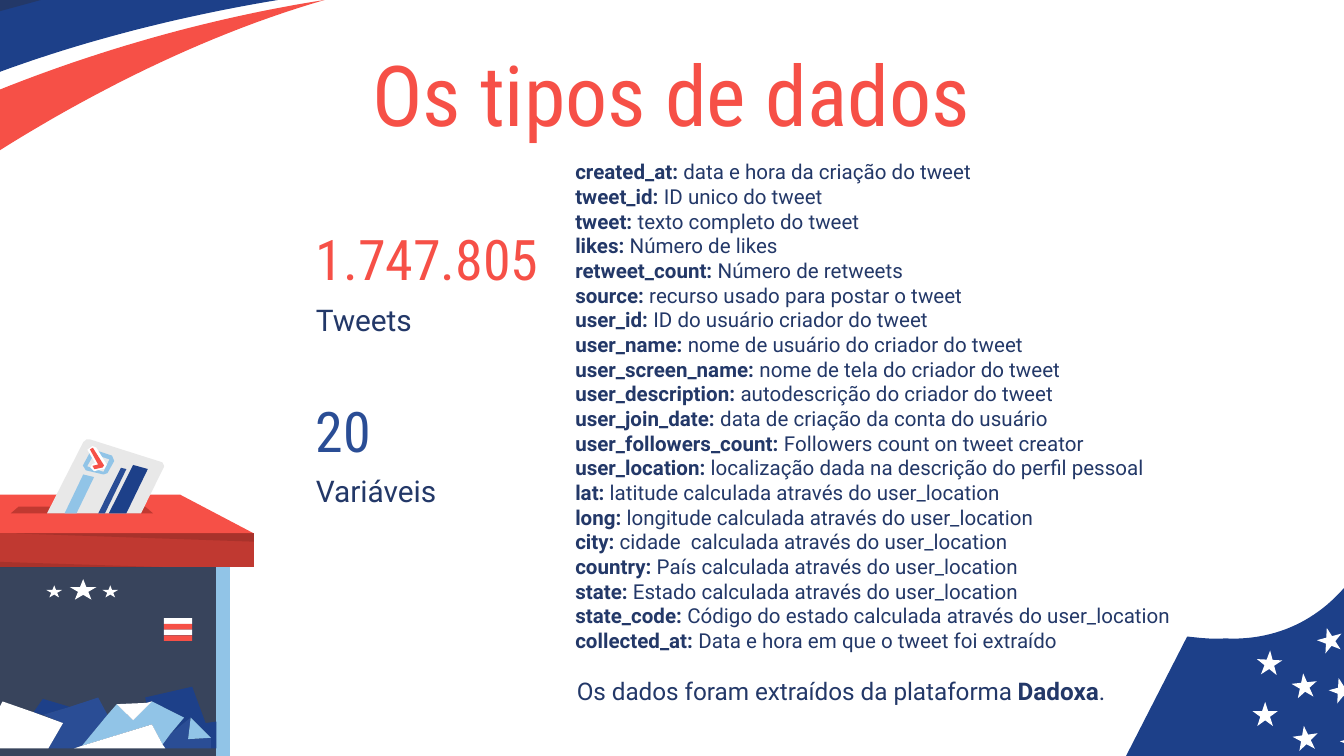
from lxml import etree
from pptx import Presentation
from pptx import util as u
from pptx.dml.color import RGBColor
from pptx.enum import shapes, text
from pptx.oxml.ns import qn

RED, BLUE, MID, NAVY = "F65047", "1D4089", "2A4D95", "233868"
SKY, WHITE, BRICK, SLATE, CARD = "91C4E7", "FFFFFF", "C03931", "38445C", "E8E8E8"
BODY, HEAD = "Roboto", "Roboto Condensed"

FIELDS = [
    ("created_at:", " data e hora da criação do tweet"),
    ("tweet_id: ", "ID unico do tweet"),
    ("tweet: ", "texto completo do tweet"),
    ("likes:", " Número de likes"),
    ("retweet_count: ", "Número de retweets"),
    ("source: ", "recurso usado para postar o tweet"),
    ("user_id: ", "ID do usuário criador do tweet"),
    ("user_name:", " nome de usuário do criador do tweet"),
    ("user_screen_name:", " nome de tela do criador do tweet"),
    ("user_description:", " autodescrição do criador do tweet"),
    ("user_join_date:", " data de criação da conta do usuário"),
    ("user_followers_count:", " Followers count on tweet creator"),
    ("user_location:", " localização dada na descrição do perfil pessoal"),
    ("lat:", " latitude calculada através do user_location"),
    ("long:", " longitude calculada através do user_location"),
    ("city:", " cidade  calculada através do user_location"),
    ("country:", " País calculada através do user_location"),
    ("state:", " Estado calculada através do user_location"),
    ("state_code:", " Código do estado calculada através do user_location"),
    ("collected_at:", " Data e hora em que o tweet foi extraído"),
]

CHEST = [
    (SKY, [(0, 63), (123.1, 63), (123.1, 170), (0, 170)]),
    (SLATE, [(0, 63), (115.9, 63), (115.9, 170), (0, 170)]),
    (RED, [(0, 30), (96.5, 30), (136, 50.8), (126, 56.6), (0, 56.6)]),
    (BRICK, [(0, 50.8), (136, 50.8), (136, 68.8), (0, 68.8)]),
    (BRICK, [(10, 36.4), (77.8, 36.4), (82, 40), (5.8, 40)]),
]
SHADES = [
    [(0, 66), (87, 68.8), (0, 68.8)],
    [(8.6, 50.8), (136, 50.8), (136, 55.2)],
]
VOTE = [
    (CARD, [(44.6, 1.9), (46.4, 0.4), (48.2, 0.4), (87, 12.7), (88, 14.8), (75.6, 40), (25.2, 40)]),
    (SKY, [(49.5, 6.4), (51.8, 6.4), (60, 9.1), (61.2, 12), (57.6, 18.5), (55.4, 19.2),
           (46, 17), (44.4, 14.4), (48.2, 7.4)]),
    (CARD, [(50.4, 8.4), (58.5, 11.2), (55.4, 17.7), (46.8, 14.8)]),
    (WHITE, [(49.5, 4), (51.6, 4.8), (57.2, 14), (56, 16.1), (50.4, 17.5), (48.4, 15.5),
             (49.5, 13.6), (51, 13.2), (46.8, 6)]),
    (RED, [(49.8, 4.9), (55.8, 14.4), (55, 15.5), (50.6, 16.4), (49.6, 14.6), (52.6, 13.9), (48.2, 5.8)]),
    (BLUE, [(71.3, 14.1), (79.2, 16.3), (67.7, 40), (58.3, 40)]),
    (MID, [(64.8, 15.6), (67.7, 16.3), (56.2, 40), (52.6, 40)]),
    (SKY, [(44.6, 19.2), (50.4, 20.6), (41, 40), (34.6, 40)]),
]
PAPERS = [
    (BLUE, [(103, 132.9), (77.8, 138.7), (78.5, 141.6), (81.4, 140.8), (98.6, 149.5), (91.4, 158.1),
            (102.2, 149.5), (113, 160.3), (113, 166), (115.9, 166), (115.9, 151.6), (110.2, 152.4)]),
    (BLUE, [(23, 139.4), (18, 146.6), (23, 148), (37.4, 143.7)]),
    (MID, [(102.2, 149.5), (91.4, 158.1), (87.1, 163.9), (88.6, 166), (113, 166), (113, 160.3), (100.8, 161)]),
    (MID, [(52.6, 138.7), (37.4, 143.7), (23, 148), (33.8, 152.4), (25.9, 166), (39.6, 166),
           (43.9, 164.6), (57.6, 148)]),
    (SKY, [(81.4, 140.8), (71.3, 150.9), (62.6, 142.3), (57.6, 148), (43.9, 164.6), (81.4, 153.1),
           (87.1, 163.9), (91.4, 158.1), (98.6, 149.5)]),
    (WHITE, [(1.4, 140.8), (0, 143.5), (0, 166), (25.9, 166), (33.8, 152.4), (18, 146.6)]),
    (WHITE, [(81.4, 153.1), (43.9, 164.6), (39.6, 166), (88.6, 166), (87.1, 163.9)]),
    (WHITE, [(81.4, 140.8), (78.5, 141.6), (62.6, 142.3), (71.3, 150.9)]),
    (SKY, [(102.2, 149.5), (100.8, 161), (113, 160.3)]),
]


def tint(code):
    return RGBColor.from_string(code)


def paint(shape, code, alpha=None):
    shape.shadow.inherit = False
    shape.fill.solid()
    shape.fill.fore_color.rgb = tint(code)
    shape.line.fill.background()
    if alpha:
        tag = shape._element.spPr.find(qn("a:solidFill"))[0]
        etree.SubElement(tag, qn("a:alpha"), val=str(alpha * 1000))


def bend(a, b, c, d, steps=24):
    ts = [i / steps for i in range(steps + 1)]
    return [tuple((1 - t) ** 3 * p + 3 * t * (1 - t) ** 2 * q + 3 * t * t * (1 - t) * r + t ** 3 * s
                  for p, q, r, s in zip(a, b, c, d)) for t in ts]


def poly(slide, x, y, dots, code, alpha=None):
    spots = [(u.Pt(x + a), u.Pt(y + b)) for a, b in dots]
    form = slide.shapes.build_freeform(*spots[0], scale=1.0)
    form.add_line_segments(spots[1:], close=True)
    paint(form.convert_to_shape(), code, alpha)


def block(slide, kind, x, y, w, h, code, turn=0):
    shape = slide.shapes.add_shape(kind, u.Pt(x), u.Pt(y), u.Pt(w), u.Pt(h))
    shape.rotation = turn
    paint(shape, code)


def write(slide, x, y, w, h, rows, size, code, font=BODY, pitch=None):
    frame = slide.shapes.add_textbox(u.Pt(x), u.Pt(y), u.Pt(w), u.Pt(h)).text_frame
    frame.word_wrap = True
    frame.margin_left = frame.margin_right = frame.margin_top = frame.margin_bottom = 0
    frame.vertical_anchor = text.MSO_ANCHOR.TOP if pitch else text.MSO_ANCHOR.MIDDLE
    for i, row in enumerate(rows):
        para = frame.add_paragraph() if i else frame.paragraphs[0]
        if pitch:
            para.line_spacing = u.Pt(pitch)
        for words, bold in row:
            run = para.add_run()
            run.text = words
            run.font.size, run.font.name, run.font.bold = u.Pt(size), font, bold
            run.font.color.rgb = tint(code)


def ribbon(slide, x, y):
    poly(slide, x, y, [(0, 0)] + bend((149, 0), (95, 9), (45, 22), (0, 38.5)), BLUE)
    poly(slide, x, y, [(0, 0), (22, 0), (0, 6)], NAVY)
    edge = bend((174, 0), (110, 10), (50, 28), (0, 48))
    poly(slide, x, y, edge + bend((0, 80.5), (55, 46), (115, 17), (174, 0)), RED)


def corner(slide, x, y):
    curve = bend((53, 2), (83, 3.5), (104, -10), (117, -25))
    poly(slide, x, y, [(0, 65.5), (33, 1)] + bend((33, 1), (42, 2), (48, 2.5), (53, 2)) + curve
         + [(117, 65.5)], BLUE)
    for a, b, turn in [(89, 20.7, -6), (89.6, 48.8, -8), (70.3, 8.5, 3), (68, 36, 0),
                       (102.7, -3.8, -15), (109, 23, -15), (115, 50.4, -15)]:
        block(slide, shapes.MSO_SHAPE.STAR_5_POINT, x + a, y + b, 13.6, 13, WHITE, turn)


def ballot(slide, x, y):
    for code, dots in CHEST:
        poly(slide, x, y, dots, code)
    for dots in SHADES:
        poly(slide, x, y, dots, "000000", 12)
    for code, dots in VOTE + PAPERS:
        poly(slide, x, y, dots, code)
    for a, b, w, h in [(37.4, 75.3, 14.4, 11), (24.9, 78.6, 8.4, 6.5), (54.9, 78.6, 8.4, 6.5)]:
        block(slide, shapes.MSO_SHAPE.STAR_5_POINT, x + a, y + b, w, h, WHITE)
    for i in range(4):
        block(slide, shapes.MSO_SHAPE.RECTANGLE, x + 87.8, y + 96.2 + 3.05 * i, 15.1, 3.05,
              RED if i % 2 else WHITE)


def count(slide, x, y, value, label, code):
    write(slide, x, y, 140.4, 28.8, [[(value, False)]], 30, code, HEAD)
    write(slide, x, y + 29.2, 140.4, 36, [[(label, False)]], 16, NAVY)


def fields(slide, x, y, w, h):
    rows = [[(name, True), (note, False)] for name, note in FIELDS]
    write(slide, x, y, w, h, rows, 11, NAVY, pitch=13.2)


def main():
    deck = Presentation()
    deck.slide_width, deck.slide_height = u.Pt(720), u.Pt(405)
    slide = deck.slides.add_slide(deck.slide_layouts[6])
    corner(slide, 603, 340)
    ribbon(slide, 0, 0)
    write(slide, 199.4, 16.6, 331.2, 66.2, [[("Os tipos de dados", False)]], 45, RED, HEAD)
    write(slide, 309, 360, 293, 20, [[("Os dados foram extraídos da plataforma ", False),
                                      ("Dadoxa", True), (".", False)]], 13, NAVY)
    ballot(slide, 0, 235)
    fields(slide, 308.2, 85.4, 380, 264)
    count(slide, 169.2, 123.8, "1.747.805", "Tweets", RED)
    count(slide, 169.2, 215.8, "20", "Variáveis", MID)
    deck.save("out.pptx")


if __name__ == "__main__":
    main()
